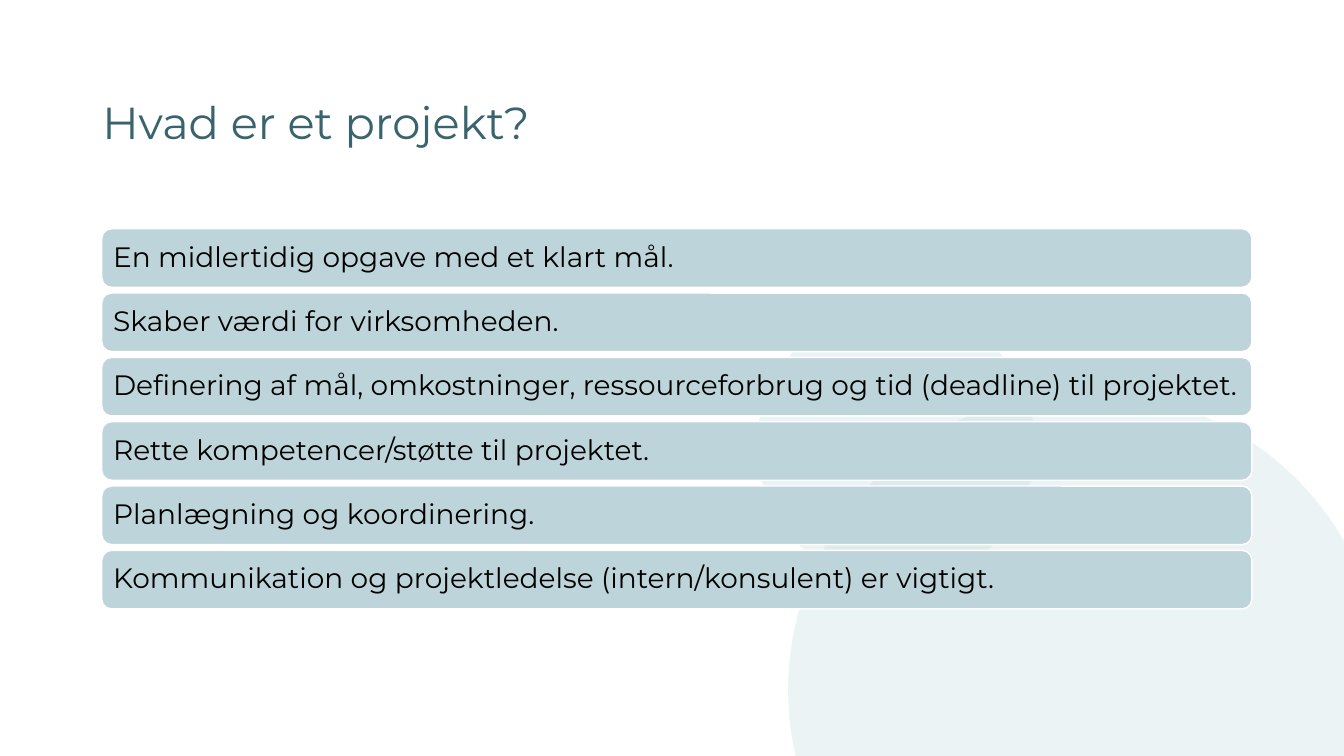
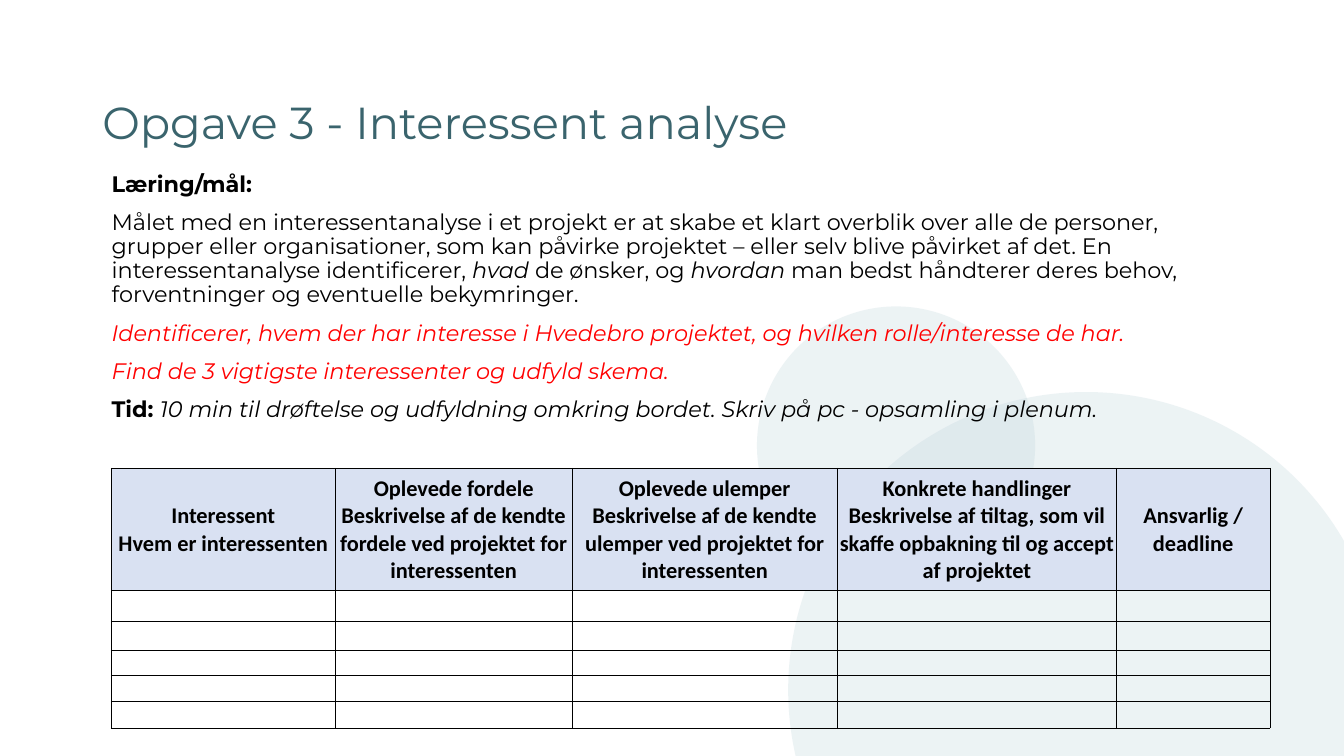
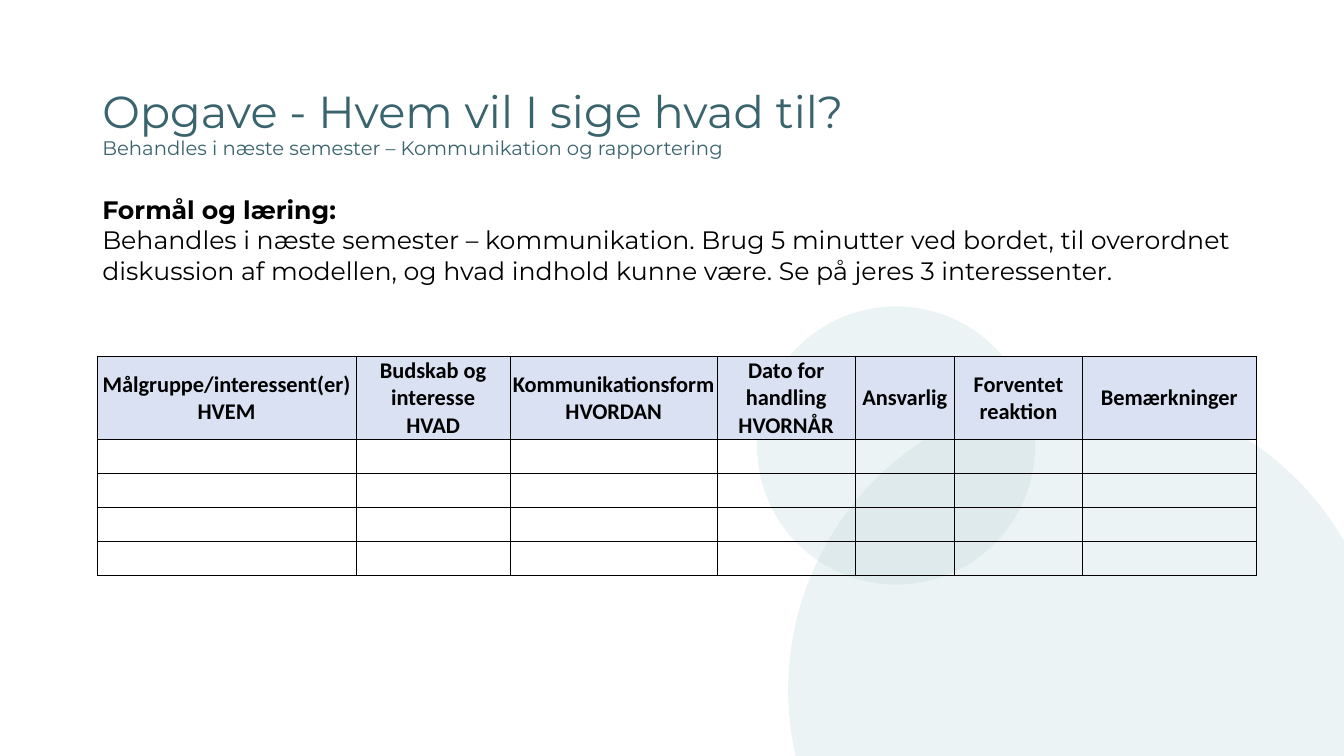
from dataclasses import dataclass
from typing import NamedTuple

from lxml.etree import SubElement
from pptx import Presentation
from pptx.dml.color import RGBColor
from pptx.enum.shapes import MSO_SHAPE
from pptx.enum.text import MSO_ANCHOR, PP_ALIGN
from pptx.oxml.ns import qn
from pptx.shapes.autoshape import Shape
from pptx.slide import Slide
from pptx.table import _Cell
from pptx.text.text import TextFrame, _Paragraph
from pptx.util import Pt

TEAL, PALE_TEAL, HEADER_BLUE = "3A646D", "BED4DB", "D9E1F2"
BLACK, WHITE, RED = "000000", "FFFFFF", "FF0000"
HEADING_FONT, TABLE_FONT = "Montserrat", "Calibri"


class Box(NamedTuple):
    left: float
    top: float
    width: float
    height: float


class Span(NamedTuple):
    text: str
    size: float = 16
    color: str = BLACK
    bold: bool = False
    italic: bool = False
    font: str = HEADING_FONT


@dataclass
class Grid:
    """A table with a filled header row above empty rows."""
    left: float
    top: float
    headers: list[str]
    widths: list[float]
    header_height: float
    row_heights: list[float]


TITLE_BOX = Box(66, 52.5, 828, 73)
BACKGROUND_CIRCLES = [Box(563, 280, 425.5, 425.5), Box(540.7, 218.9, 198.7, 198.7)]
CIRCLE_OPACITY = 28

PROJECT_TRAITS = [
    "En midlertidig opgave med et klart mål.",
    "Skaber værdi for virksomheden.",
    "Definering af mål, omkostninger, ressourceforbrug og tid (deadline) til projektet.",
    "Rette kompetencer/støtte til projektet.",
    "Planlægning og koordinering.",
    "Kommunikation og projektledelse (intern/konsulent) er vigtigt.",
]
FIRST_BAR = Box(72.7, 163.4, 821.5, 41.8)
BAR_PITCH = 45.95

STAKEHOLDER_TASK = [
    [Span("Læring/mål:", bold=True)],
    [
        Span("Målet med en interessentanalyse i et projekt er at skabe et klart overblik over "
             "alle de personer, grupper eller organisationer, som kan påvirke projektet – eller "
             "selv blive påvirket af det. En interessentanalyse identificerer, "),
        Span("hvad", italic=True),
        Span(" de ønsker, og "),
        Span("hvordan", italic=True),
        Span(" man bedst håndterer deres behov, forventninger og eventuelle bekymringer."),
    ],
    [Span("Identificerer, hvem der har interesse i Hvedebro projektet, og hvilken "
          "rolle/interesse de har.", color=RED, italic=True)],
    [Span("Find de 3 vigtigste interessenter og udfyld skema.", color=RED, italic=True)],
    [
        Span("Tid: ", bold=True),
        Span("10 min til drøftelse og udfyldning omkring bordet. Skriv på pc - opsamling "
             "i plenum.", italic=True),
    ],
]
STAKEHOLDER_GRID = Grid(
    left=79.5, top=334.4,
    headers=[
        "Interessent\nHvem er interessenten",
        "Oplevede fordele\nBeskrivelse af de kendte fordele ved projektet for interessenten",
        "Oplevede ulemper\nBeskrivelse af de kendte ulemper ved projektet for interessenten",
        "Konkrete handlinger\nBeskrivelse af tiltag, som vil skaffe opbakning til og accept "
        "af projektet",
        "Ansvarlig / deadline",
    ],
    widths=[160, 169.2, 189.4, 199.5, 109.5],
    header_height=87.2,
    row_heights=[22, 20.7, 18.4, 18, 19.3],
)

COMMUNICATION_TASK = [
    [Span("Formål og læring:", 18, bold=True)],
    [Span("Behandles i næste semester – kommunikation. Brug 5 minutter ved bordet, til "
          "overordnet diskussion af modellen, og hvad indhold kunne være. Se på jeres "
          "3 interessenter.", 18)],
]
COMMUNICATION_GRID = Grid(
    left=69.3, top=254.4,
    headers=[
        "Målgruppe/interessent(er)\nHVEM",
        "Budskab og interesse\nHVAD",
        "Kommunikationsform\nHVORDAN",
        "Dato for handling\nHVORNÅR",
        "Ansvarlig",
        "Forventet reaktion",
        "Bemærkninger",
    ],
    widths=[185, 110.2, 147.7, 98.8, 70.8, 91.5, 124],
    header_height=59.3,
    row_heights=[24.3] * 4,
)


def rgb(color: str) -> RGBColor:
    return RGBColor.from_string(color)


def add_spans(paragraph: _Paragraph, spans: list[Span]) -> None:
    """Add runs; a newline inside a span becomes a line break."""
    for span in spans:
        for index, line in enumerate(span.text.split("\n")):
            if index:
                paragraph.add_line_break()
            if not line:
                continue
            run = paragraph.add_run()
            run.text = line
            run.font.name = span.font
            run.font.size = Pt(span.size)
            run.font.bold = span.bold
            run.font.italic = span.italic
            run.font.color.rgb = rgb(span.color)


def write(frame: TextFrame, paragraphs: list[list[Span]], line_spacing: float = 0.9,
          gap: float = 0) -> None:
    frame.word_wrap = True
    for index, spans in enumerate(paragraphs):
        paragraph = frame.add_paragraph() if index else frame.paragraphs[0]
        paragraph.alignment = PP_ALIGN.LEFT
        paragraph.line_spacing = line_spacing
        paragraph.space_before = Pt(gap if index else 0)
        add_spans(paragraph, spans)


def add_text(slide: Slide, box: Box, paragraphs: list[list[Span]], line_spacing: float = 0.9,
             gap: float = 0, anchor: MSO_ANCHOR = MSO_ANCHOR.TOP) -> None:
    frame = slide.shapes.add_textbox(*map(Pt, box)).text_frame
    frame.vertical_anchor = anchor
    write(frame, paragraphs, line_spacing, gap)


def add_filled_shape(slide: Slide, kind: MSO_SHAPE, box: Box) -> Shape:
    shape = slide.shapes.add_shape(kind, *map(Pt, box))
    shape.shadow.inherit = False
    shape.fill.solid()
    shape.fill.fore_color.rgb = rgb(PALE_TEAL)
    return shape


def add_circle(slide: Slide, box: Box) -> None:
    circle = add_filled_shape(slide, MSO_SHAPE.OVAL, box)
    circle.line.fill.background()
    color = circle.fill._xPr.find(qn("a:solidFill"))[0]
    SubElement(color, qn("a:alpha"), val=str(CIRCLE_OPACITY * 1000))


def add_bar(slide: Slide, box: Box, text: str) -> None:
    bar = add_filled_shape(slide, MSO_SHAPE.ROUNDED_RECTANGLE, box)
    bar.line.color.rgb = rgb(WHITE)
    bar.line.width = Pt(1)
    frame = bar.text_frame
    frame.vertical_anchor = MSO_ANCHOR.MIDDLE
    frame.margin_left, frame.margin_right = Pt(6), Pt(2)
    write(frame, [[Span(text, 20)]])


def format_cell(cell: _Cell) -> None:
    """Give a cell thin black borders, no fill and tight margins."""
    properties = cell._tc.get_or_add_tcPr()
    for side in ("lnL", "lnR", "lnT", "lnB"):
        border = SubElement(properties, qn(f"a:{side}"), w=str(Pt(0.5)))
        solid = SubElement(border, qn("a:solidFill"))
        SubElement(solid, qn("a:srgbClr"), val=BLACK)
    cell.fill.background()
    cell.margin_left = cell.margin_right = cell.margin_top = Pt(0.7)
    cell.margin_bottom = Pt(0)
    cell.vertical_anchor = MSO_ANCHOR.MIDDLE


def add_grid(slide: Slide, grid: Grid) -> None:
    heights = [grid.header_height, *grid.row_heights]
    table = slide.shapes.add_table(
        len(heights), len(grid.widths), Pt(grid.left), Pt(grid.top),
        Pt(sum(grid.widths)), Pt(sum(heights))).table
    table.first_row = table.horz_banding = False
    for column, width in zip(table.columns, grid.widths):
        column.width = Pt(width)
    for row, height in zip(table.rows, heights):
        row.height = Pt(height)
    for cell in table.iter_cells():
        format_cell(cell)
    for column_index, header in enumerate(grid.headers):
        cell = table.cell(0, column_index)
        cell.fill.solid()
        cell.fill.fore_color.rgb = rgb(HEADER_BLUE)
        paragraph = cell.text_frame.paragraphs[0]
        paragraph.alignment = PP_ALIGN.CENTER
        add_spans(paragraph, [Span(header, bold=True, font=TABLE_FONT)])
        for row_index in range(1, len(heights)):
            empty = table.cell(row_index, column_index).text_frame.paragraphs[0]
            SubElement(empty._p, qn("a:endParaRPr"), sz="1000")


def add_titled_slide(deck: Presentation, title: str, subtitle: str = "") -> Slide:
    slide = deck.slides.add_slide(deck.slide_layouts[6])
    for circle in BACKGROUND_CIRCLES:
        add_circle(slide, circle)
    spans = [Span(title, 32, TEAL)]
    if subtitle:
        spans = [Span(title + "\n", 32, TEAL), Span(subtitle, 14, TEAL)]
    add_text(slide, TITLE_BOX, [spans], anchor=MSO_ANCHOR.MIDDLE)
    return slide


def main() -> None:
    deck = Presentation()
    deck.slide_width, deck.slide_height = Pt(960), Pt(540)

    project = add_titled_slide(deck, "Hvad er et projekt?")
    for index, trait in enumerate(PROJECT_TRAITS):
        top = FIRST_BAR.top + index * BAR_PITCH
        add_bar(project, FIRST_BAR._replace(top=top), trait)

    stakeholders = add_titled_slide(deck, "Opgave 3 - Interessent analyse")
    add_text(stakeholders, Box(72.7, 120, 820, 190), STAKEHOLDER_TASK, gap=10)
    add_grid(stakeholders, STAKEHOLDER_GRID)

    communication = add_titled_slide(
        deck, "Opgave - Hvem vil I sige hvad til?",
        "Behandles i næste semester – Kommunikation og rapportering")
    add_grid(communication, COMMUNICATION_GRID)
    add_text(communication, Box(66, 135.4, 833, 73), COMMUNICATION_TASK, line_spacing=1)

    deck.save("out.pptx")


if __name__ == "__main__":
    main()
